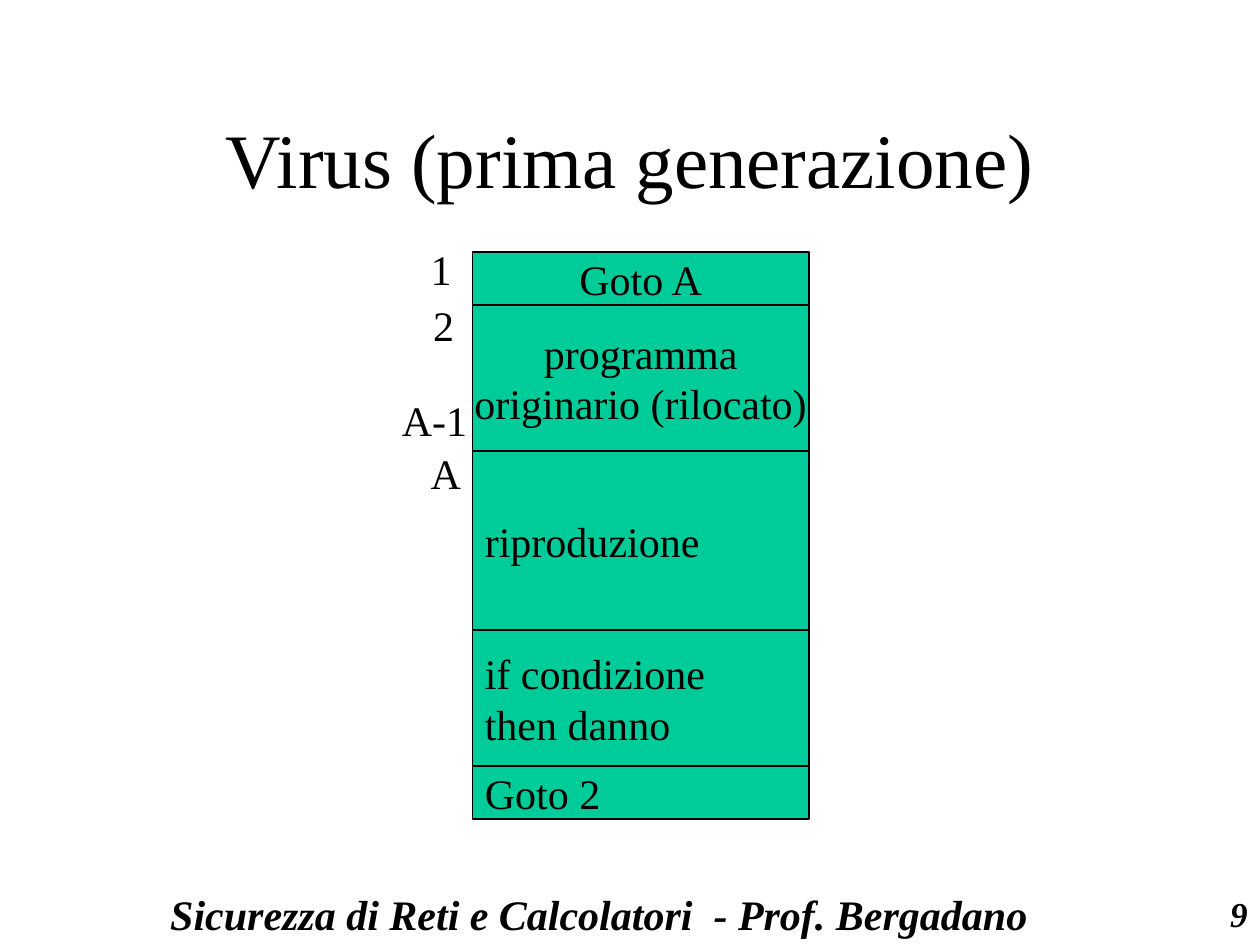
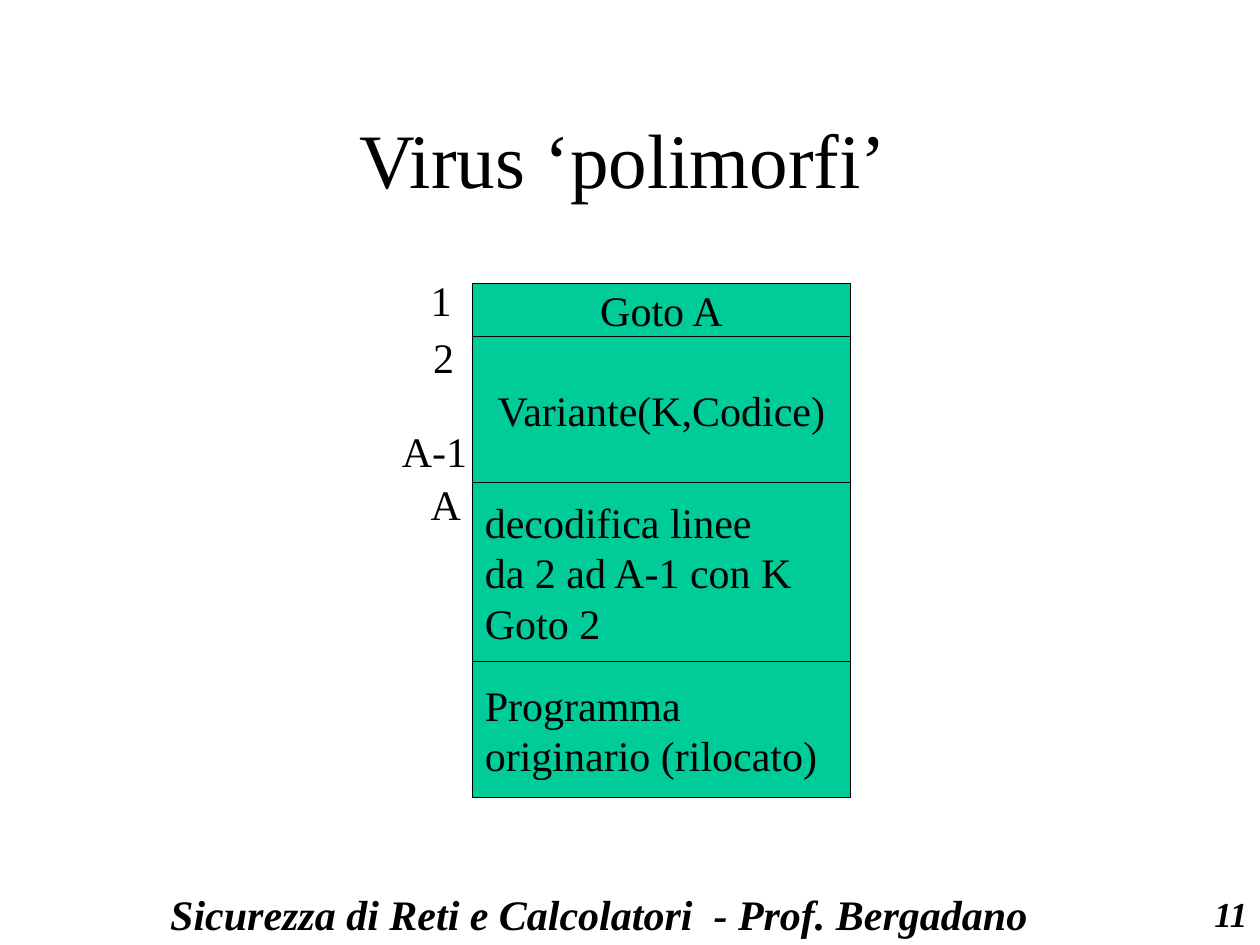
from itertools import pairwise

from pptx import Presentation
from pptx.dml.color import RGBColor
from pptx.enum import shapes, text
from pptx.util import Inches, Pt

BLACK = RGBColor(0x00, 0x00, 0x00)
GREEN = RGBColor(0x00, 0xCC, 0x99)
FONT = "Times New Roman"
LEFT, CENTER, RIGHT = text.PP_ALIGN.LEFT, text.PP_ALIGN.CENTER, text.PP_ALIGN.RIGHT
MIDDLE, TOP = text.MSO_ANCHOR.MIDDLE, text.MSO_ANCHOR.TOP

BLOCK_LEFT = 3.75
BLOCK_EDGES = [0, 0.42, 1.58, 3, 4.08, 4.5]
LINE_LABELS = [
    ("1", 3.32, -0.12, 0.36),
    ("2", 3.34, 0.33, 0.36),
    ("A-1", 3.09, 1.08, 0.72),
    ("A", 3.32, 1.5, 0.44),
]
SLIDES = [
    ("Virus (prima generazione)", "9", 2, 2.67, [
        ("Goto A", CENTER),
        ("programma\noriginario (rilocato)", CENTER),
        ("riproduzione", LEFT),
        ("if condizione\nthen danno", LEFT),
        ("Goto 2", LEFT),
    ]),
    ("Virus ‘polimorfi’ ", "11", 2.25, 3, [
        ("Goto A", CENTER),
        ("Variante(K,Codice)", CENTER),
        ("decodifica linee\nda 2 ad A-1 con K\nGoto 2", LEFT),
        ("Programma\noriginario (rilocato)", LEFT),
    ]),
]


def write(sp, words, align, size=24, anchor=MIDDLE, wrap=False, strong=False):
    tf = sp.text_frame
    tf.text = words
    tf.word_wrap = wrap
    tf.vertical_anchor = anchor
    for p in tf.paragraphs:
        p.alignment = align
        p.font.name = FONT
        p.font.size = Pt(size)
        p.font.color.rgb = BLACK
        p.font.bold = p.font.italic = strong
    return tf


def add_text(s, left, top, width, height, words, align, **style):
    sp = s.shapes.add_textbox(Inches(left), Inches(top), Inches(width), Inches(height))
    return write(sp, words, align, **style)


prs = Presentation()
prs.slide_width = Inches(10)
prs.slide_height = Inches(7.5)

for title, number, top, width, blocks in SLIDES:
    s = prs.slides.add_slide(prs.slide_layouts[6])
    add_text(s, 1.17, 7, 7.25, 0.5, "Sicurezza di Reti e Calcolatori  - Prof. Bergadano ",
             CENTER, strong=True)
    add_text(s, 8.5, 7, 1.5, 0.5, number, RIGHT, size=20, strong=True)
    tf = add_text(s, 0.75, 0.67, 8.5, 1.25, title, CENTER, size=44, wrap=True)
    tf.paragraphs[0].line_spacing = 0.9

    for (words, align), (start, end) in zip(blocks, pairwise(BLOCK_EDGES)):
        sp = s.shapes.add_shape(shapes.MSO_SHAPE.RECTANGLE, Inches(BLOCK_LEFT),
                                Inches(top + start), Inches(width), Inches(end - start))
        sp.shadow.inherit = False
        sp.fill.solid()
        sp.fill.fore_color.rgb = GREEN
        sp.line.color.rgb = BLACK
        sp.line.width = Pt(1)
        write(sp, words, align)

    for words, left, offset, label_width in LINE_LABELS:
        tf = add_text(s, left, top + offset, label_width, 0.5, words, LEFT, anchor=TOP)
        tf.auto_size = text.MSO_AUTO_SIZE.SHAPE_TO_FIT_TEXT

prs.save("out.pptx")
